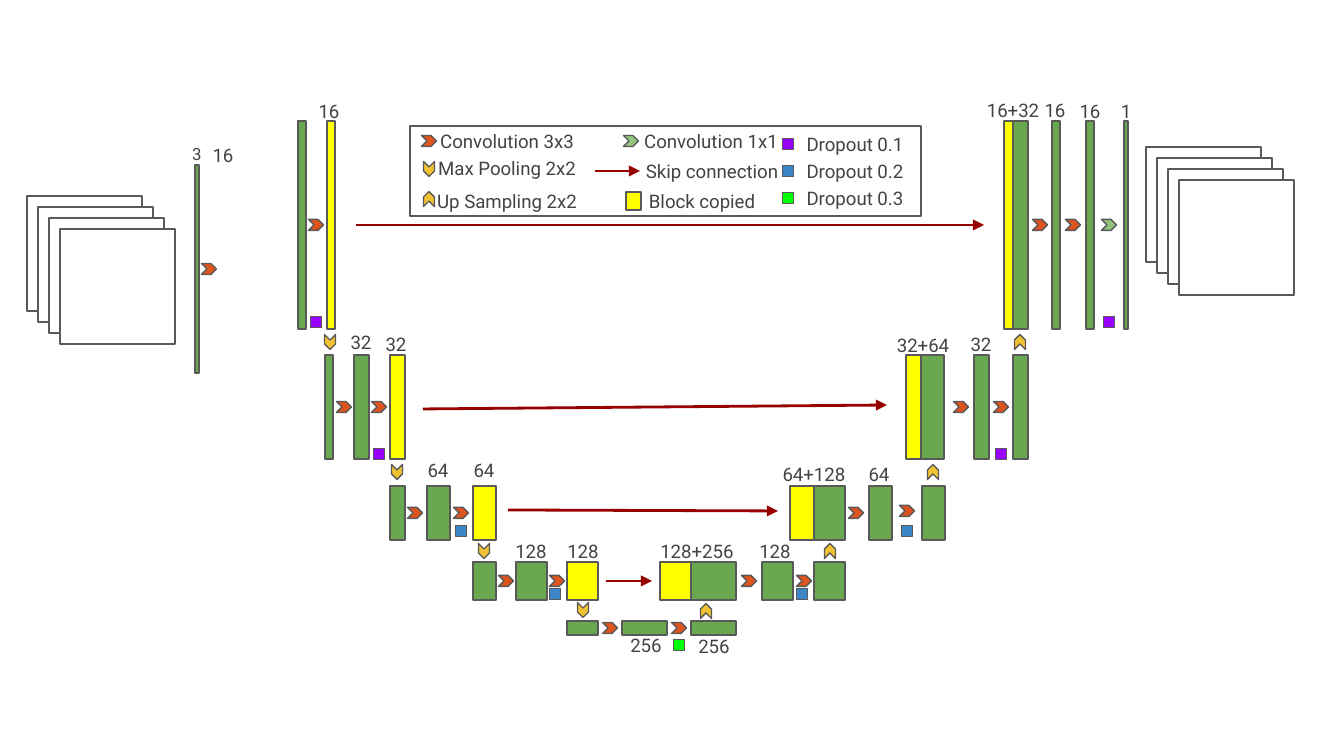
import pptx
import pptx.dml.color
import pptx.enum.shapes
import pptx.enum.text
import pptx.oxml.ns
import pptx.util
from lxml import etree

SCALE = 914400 / 134.4  # EMU in one px
KIND = pptx.enum.shapes.MSO_SHAPE
INK = {
    "green": "6AA84F", "yellow": "FFFF00", "white": "FFFFFF", "edge": "595959",
    "conv": "DE541E", "point": "93C47D", "pool": "F1C232", "skip": "980000",
    "text": "434343", "d1": "9900FF", "d2": "3D85C6", "d3": "00FF00",
}
FRAME = {
    "word_wrap": False,
    "auto_size": pptx.enum.text.MSO_AUTO_SIZE.NONE,
    "vertical_anchor": pptx.enum.text.MSO_ANCHOR.MIDDLE,
}
FRAME.update({"margin_" + side: pptx.util.Inches(0.1)
              for side in ("left", "right", "top", "bottom")})

# Levels of the network: top, height, blocks as (left, width, colour)
LEVELS = [
    (121, 208, [(298, 8, "green"), (327, 8, "yellow"), (1004, 9, "yellow"),
                (1013, 15, "green"), (1052, 8, "green"), (1086, 8, "green"),
                (1124, 4, "green")]),
    (355, 104, [(325, 8, "green"), (354, 15, "green"), (390, 15, "yellow"),
                (906, 15, "yellow"), (921, 23, "green"), (974, 15, "green"),
                (1013, 15, "green")]),
    (486, 54, [(390, 15, "green"), (427, 23, "green"), (473, 23, "yellow"),
               (790, 24, "yellow"), (814, 31, "green"), (869, 23, "green"),
               (922, 23, "green")]),
    (562, 38, [(473, 23, "green"), (516, 31, "green"), (567, 31, "yellow"),
               (660, 31, "yellow"), (691, 45, "green"), (762, 31, "green"),
               (814, 31, "green")]),
    (621, 14, [(567, 31, "green"), (622, 45, "green"), (691, 45, "green")]),
]

# Marks by their centres
CONVS = [
    (209, 269), (316, 225), (1040, 225), (1073, 225),
    (344, 407), (379, 407), (961, 407), (1001, 407),
    (415, 513), (461, 513), (856, 513), (907, 511),
    (506, 581), (557, 581), (749, 581), (804, 581), (610, 628), (679, 628),
]
POOLS = [(330, 342), (397, 472), (484, 551), (583, 610)]
UPS = [(706, 611), (830, 551), (933, 472), (1020, 342)]
DROPS = {
    "d1": [(316, 322), (379, 454), (1001, 454), (1109, 322)],
    "d2": [(461, 531), (907, 531), (802, 594), (555, 594)],
    "d3": [(679, 645)],
}
SKIPS = [(356, 225, 984, 225), (423, 409, 887, 405),
         (508, 510, 778, 511), (606, 581, 652, 581)]

# Labels: text, centre x, centre y
COUNTS = [
    ("16", 223, 155), ("16", 329, 111), ("16+32", 1013, 110),
    ("16", 1055, 110), ("16", 1090, 111), ("1", 1126, 111),
    ("32", 361, 342), ("32", 396, 344), ("32+64", 923, 345), ("32", 981, 344),
    ("64", 438, 470), ("64", 484, 470), ("64+128", 814, 474), ("64", 879, 474),
    ("128", 531, 551), ("128", 583, 551), ("128+256", 697, 551),
    ("128", 775, 551), ("256", 646, 645), ("256", 714, 646),
]
NAMES = [
    ("Convolution 3x3", 507, 141), ("Max Pooling 2x2", 507, 168),
    ("Up Sampling 2x2", 507, 201), ("Convolution 1x1", 711, 141),
    ("Skip connection", 712, 171), ("Block copied", 702, 201),
]


def px(num):
    return pptx.util.Emu(round(num * SCALE))


def tint(name):
    return pptx.dml.color.RGBColor.from_string(INK[name])


def add_box(slide, left, top, wide, high, fill, kind=KIND.RECTANGLE):
    box = slide.shapes.add_shape(kind, px(left), px(top), px(wide), px(high))
    box.shadow.inherit = False
    box.fill.solid()
    box.fill.fore_color.rgb = tint(fill)
    box.line.color.rgb = tint("edge")
    box.line.width = pptx.util.Pt(0.75)
    return box


def add_mark(slide, x, y, fill, turn=0):
    mark = add_box(slide, x - 7.5, y - 5.5, 15, 11, fill, KIND.CHEVRON)
    mark.rotation = turn


def add_drop(slide, x, y, fill):
    add_box(slide, x - 5.5, y - 5.5, 11, 11, fill)


def add_skip(slide, x1, y1, x2, y2):
    line = slide.shapes.add_connector(
        pptx.enum.shapes.MSO_CONNECTOR.STRAIGHT, px(x1), px(y1), px(x2), px(y2))
    line.line.color.rgb = tint("skip")
    line.line.width = pptx.util.Pt(1.5)
    qn = pptx.oxml.ns.qn
    etree.SubElement(line.line._get_or_add_ln(), qn("a:tailEnd"), type="triangle")
    etree.SubElement(line._element.spPr, qn("a:effectLst"))


def add_label(slide, text, x, y, wide=62, size=10):
    box = slide.shapes.add_textbox(px(x - wide / 2), px(y - 15.5), px(wide), px(31))
    frame = box.text_frame
    for key, val in FRAME.items():
        setattr(frame, key, val)
    para = frame.paragraphs[0]
    para.alignment = pptx.enum.text.PP_ALIGN.CENTER
    run = para.add_run()
    run.text = text
    for key, val in {"name": "Roboto", "size": pptx.util.Pt(size)}.items():
        setattr(run.font, key, val)
    run.font.color.rgb = tint("text")


def add_stack(slide, left, top):
    for step in range(0, 44, 11):
        add_box(slide, left + step, top + step, 115, 115, "white")


def add_net(slide):
    add_box(slide, 195, 165, 4, 208, "green")
    for top, high, blocks in LEVELS:
        for left, wide, fill in blocks:
            add_box(slide, left, top, wide, high, fill)
    for x, y in CONVS:
        add_mark(slide, x, y, "conv")
    add_mark(slide, 1109, 225, "point")
    for spots, turn in ((POOLS, 90), (UPS, 270)):
        for x, y in spots:
            add_mark(slide, x, y, "pool", turn)
    for ends in SKIPS:
        add_skip(slide, *ends)
    for fill, spots in DROPS.items():
        for x, y in spots:
            add_drop(slide, x, y, fill)
    add_label(slide, "3", 197, 154, 31, 9)
    for text, x, y in COUNTS:
        add_label(slide, text, x, y, 114 if len(text) == 7 else 82 if "+" in text else 62)


def add_key(slide):
    add_box(slide, 410, 126, 511, 90, "white")
    add_mark(slide, 429, 141, "conv")
    add_mark(slide, 429, 169, "pool", 90)
    add_mark(slide, 429, 199, "pool", 270)
    add_mark(slide, 631, 141, "point")
    add_skip(slide, 595, 171, 640, 171)
    add_box(slide, 626, 192, 15, 18, "yellow")
    for text, x, y in NAMES:
        add_label(slide, text, x, y, 185)
    for row, fill in enumerate(DROPS):
        y = 144 + 27 * row
        add_drop(slide, 788, y, fill)
        add_label(slide, f"Dropout 0.{row + 1}", 855, y, 125)


def main():
    deck = pptx.Presentation()
    deck.slide_width, deck.slide_height = px(1344), px(756)
    slide = deck.slides.add_slide(deck.slide_layouts[6])
    # Network, legend, then input and output images
    add_net(slide)
    add_key(slide)
    add_stack(slide, 27, 196)
    add_stack(slide, 1146, 147)
    deck.save("out.pptx")


if __name__ == "__main__":
    main()
